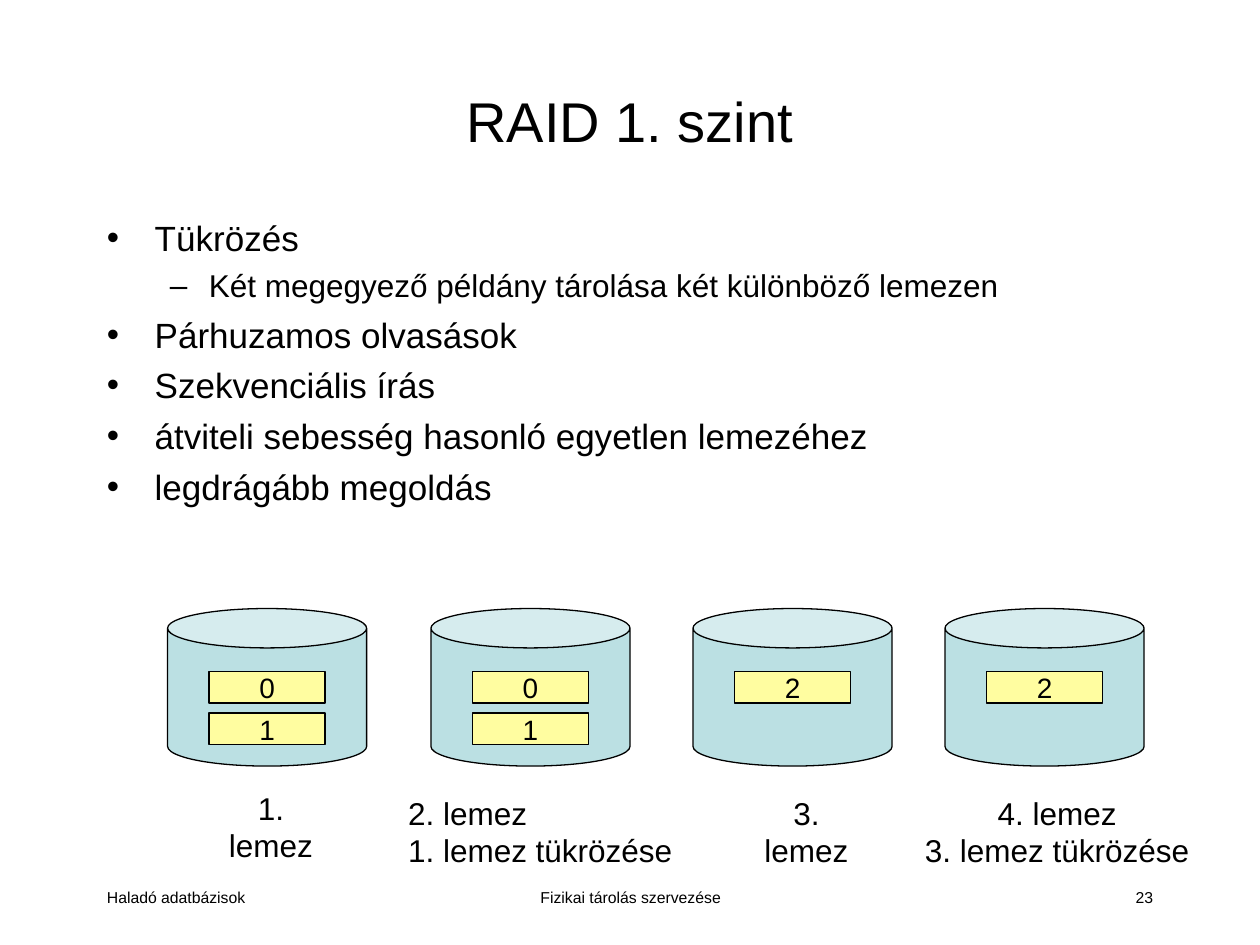
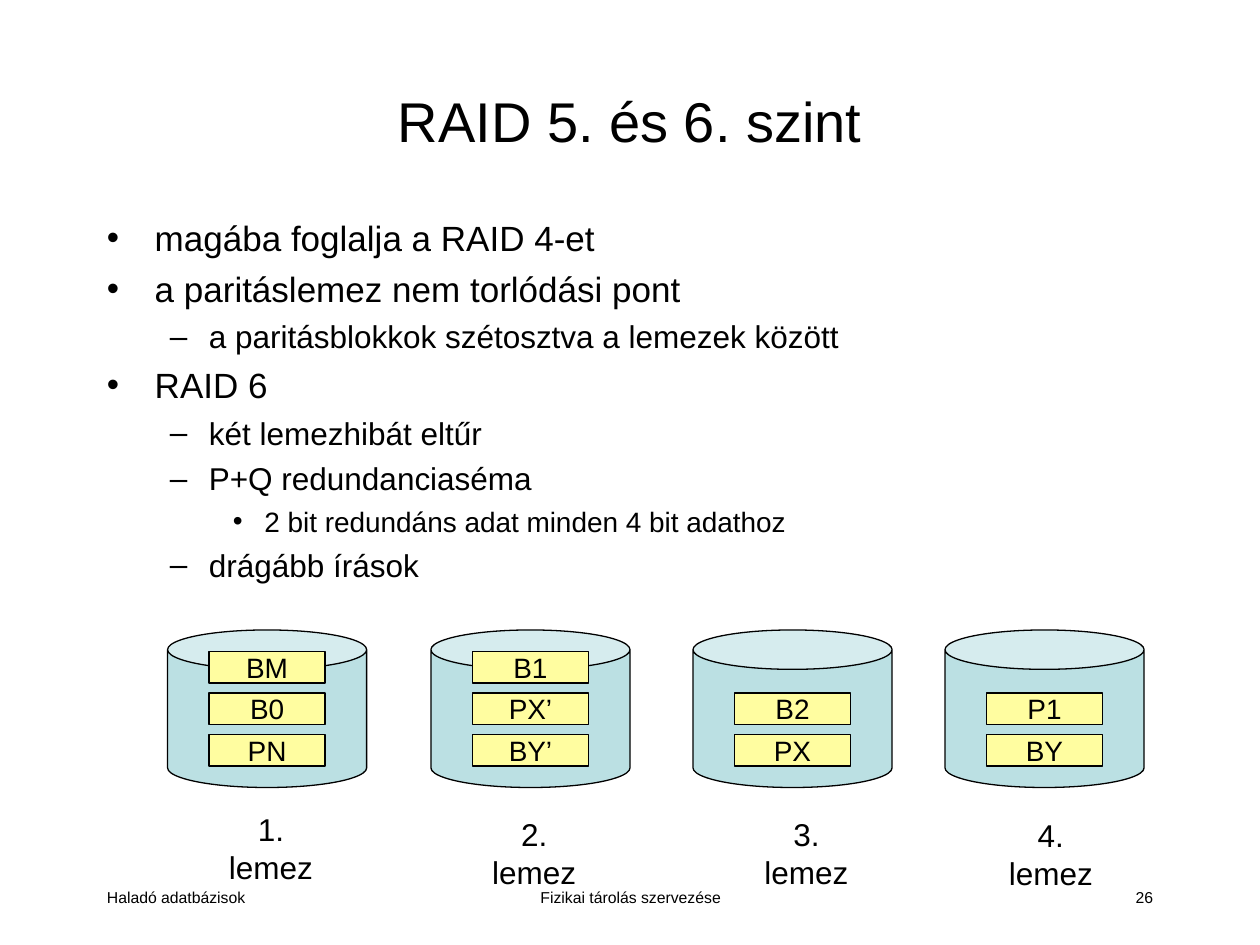
"""Build two slides on RAID levels, each with bullets above a row of disks."""
import pptx
import pptx.dml.color
import pptx.enum.shapes
import pptx.enum.text
import pptx.oxml.ns
import pptx.util
from lxml import etree

Inches = pptx.util.Inches
Pt = pptx.util.Pt
ALIGN = pptx.enum.text.PP_ALIGN
ANCHOR = pptx.enum.text.MSO_ANCHOR
SHAPE = pptx.enum.shapes.MSO_SHAPE

FONT = "Arial"
INK = "000000"
DISK = "BBE0E3"
BLOCK = "FFFDA0"
LEVELS = [(20, 0.38, 0.38, "•"), (18, 0.81, 0.31, "–"), (16, 1.25, 0.25, "•")]
DISK_LEFTS = [1.33, 3.42, 5.5, 7.5]
DISK_WIDTH, DISK_HEIGHT = 1.58, 1.25
BLOCK_WIDTH, BLOCK_HEIGHT = 0.92, 0.25
BLOCK_TOP, BLOCK_STEP = 0.17, 0.33


def color(code):
    """Turn a hex string into a colour."""
    return pptx.dml.color.RGBColor.from_string(code)


def write(frame, lines, size, align):
    """Fill a text frame with one paragraph per line."""
    frame.text = "\n".join(lines)
    for para in frame.paragraphs:
        para.alignment = align
        para.font.name = FONT
        para.font.size = Pt(size)
        para.font.color.rgb = color(INK)


def add_text(slide, box, lines, size, align=ALIGN.LEFT, wrap=True):
    """Add a text box and return its frame."""
    frame = slide.shapes.add_textbox(*map(Inches, box)).text_frame
    frame.word_wrap = wrap
    write(frame, lines, size, align)
    return frame


def add_form(slide, kind, box, fill):
    """Add a filled shape with a thin outline."""
    form = slide.shapes.add_shape(kind, *map(Inches, box))
    form.shadow.inherit = False
    form.fill.solid()
    form.fill.fore_color.rgb = color(fill)
    form.line.color.rgb = color(INK)
    form.line.width = Pt(0.75)
    return form


def add_points(slide, points):
    """Add the bullet list from pairs of level and text."""
    frame = add_text(slide, (0.75, 1.67, 8.5, 5.17), [text for _, text in points], 20)
    for para, (level, _) in zip(frame.paragraphs, points):
        size, left, hang, mark = LEVELS[level]
        para.level = level
        para.font.size = Pt(size)
        para.space_before = Pt(size / 4)
        props = para._p.get_or_add_pPr()
        props.set("marL", str(Inches(left)))
        props.set("indent", str(-Inches(hang)))
        etree.SubElement(props, pptx.oxml.ns.qn("a:buFont")).set("typeface", FONT)
        etree.SubElement(props, pptx.oxml.ns.qn("a:buChar")).set("char", mark)


def add_block(slide, left, top, text):
    """Add one data block with its name."""
    block = add_form(slide, SHAPE.RECTANGLE, (left, top, BLOCK_WIDTH, BLOCK_HEIGHT), BLOCK)
    frame = block.text_frame
    frame.word_wrap = False
    frame.vertical_anchor = ANCHOR.MIDDLE
    write(frame, [text], 16, ALIGN.CENTER)


def add_disk(slide, left, top, blocks):
    """Add a disk and the blocks in its three rows."""
    disk = add_form(slide, SHAPE.CAN, (left, top, DISK_WIDTH, DISK_HEIGHT), DISK)
    disk.adjustments[0] = 0.25
    inset = (DISK_WIDTH - BLOCK_WIDTH) / 2
    for row, text in enumerate(blocks):
        if text:
            add_block(slide, left + inset, top + BLOCK_TOP + row * BLOCK_STEP, text)


def add_label(slide, left, top, lines, align=ALIGN.CENTER):
    """Add the caption below a disk."""
    width, height = (1.14, 0.4) if len(lines) == 1 else (2.3, 0.7)
    frame = add_text(slide, (left, top, width, height), lines, 18, align, wrap=False)
    frame.auto_size = pptx.enum.text.MSO_AUTO_SIZE.SHAPE_TO_FIT_TEXT


def add_page(deck, title, number, points, top, disks, labels):
    """Add a slide with title, footers, bullets, disks and labels."""
    slide = deck.slides.add_slide(deck.slide_layouts[6])
    add_text(slide, (0.75, 7, 2.08, 0.33), ["Haladó adatbázisok"], 9)
    add_text(slide, (3.42, 7, 3.17, 0.33), ["Fizikai tárolás szervezése"], 9, ALIGN.CENTER)
    add_text(slide, (7.17, 7, 2.08, 0.33), [number], 9, ALIGN.RIGHT)
    head = add_text(slide, (0.75, 0.33, 8.5, 1.25), [title], 32, ALIGN.CENTER)
    head.vertical_anchor = ANCHOR.MIDDLE
    add_points(slide, points)
    for left, blocks in zip(DISK_LEFTS, disks):
        add_disk(slide, left, top, blocks)
    for label in labels:
        add_label(slide, *label)


def main():
    """Build and save the deck."""
    deck = pptx.Presentation()
    deck.slide_width, deck.slide_height = Inches(10), Inches(7.5)
    add_page(
        deck, "RAID 1. szint", "23",
        [(0, "Tükrözés"),
         (1, "Két megegyező példány tárolása két különböző lemezen"),
         (0, "Párhuzamos olvasások"),
         (0, "Szekvenciális írás"),
         (0, "átviteli sebesség hasonló egyetlen lemezéhez"),
         (0, "legdrágább megoldás")],
        4.83,
        [("", "0", "1"), ("", "0", "1"), ("", "2", ""), ("", "2", "")],
        [(1.58, 6.21, ["1. lemez"]),
         (3.14, 6.25, ["2. lemez", "1. lemez tükrözése"], ALIGN.LEFT),
         (5.83, 6.25, ["3. lemez"]),
         (7.24, 6.25, ["4. lemez", "3. lemez tükrözése"])])
    add_page(
        deck, "RAID 5. és 6. szint", "26",
        [(0, "magába foglalja a RAID 4-et"),
         (0, "a paritáslemez nem torlódási pont"),
         (1, "a paritásblokkok szétosztva a lemezek között"),
         (0, "RAID 6"),
         (1, "két lemezhibát eltűr"),
         (1, "P+Q redundanciaséma"),
         (2, "2 bit redundáns adat minden 4 bit adathoz"),
         (1, "drágább írások")],
        5,
        [("BM", "B0", "PN"), ("B1", "PX’", "BY’"), ("", "B2", "PX"), ("", "P1", "BY")],
        [(1.58, 6.38, ["1. lemez"]),
         (3.67, 6.42, ["2. lemez"]),
         (5.83, 6.42, ["3. lemez"]),
         (7.77, 6.43, ["4. lemez"])])
    deck.save("out.pptx")


if __name__ == "__main__":
    main()
